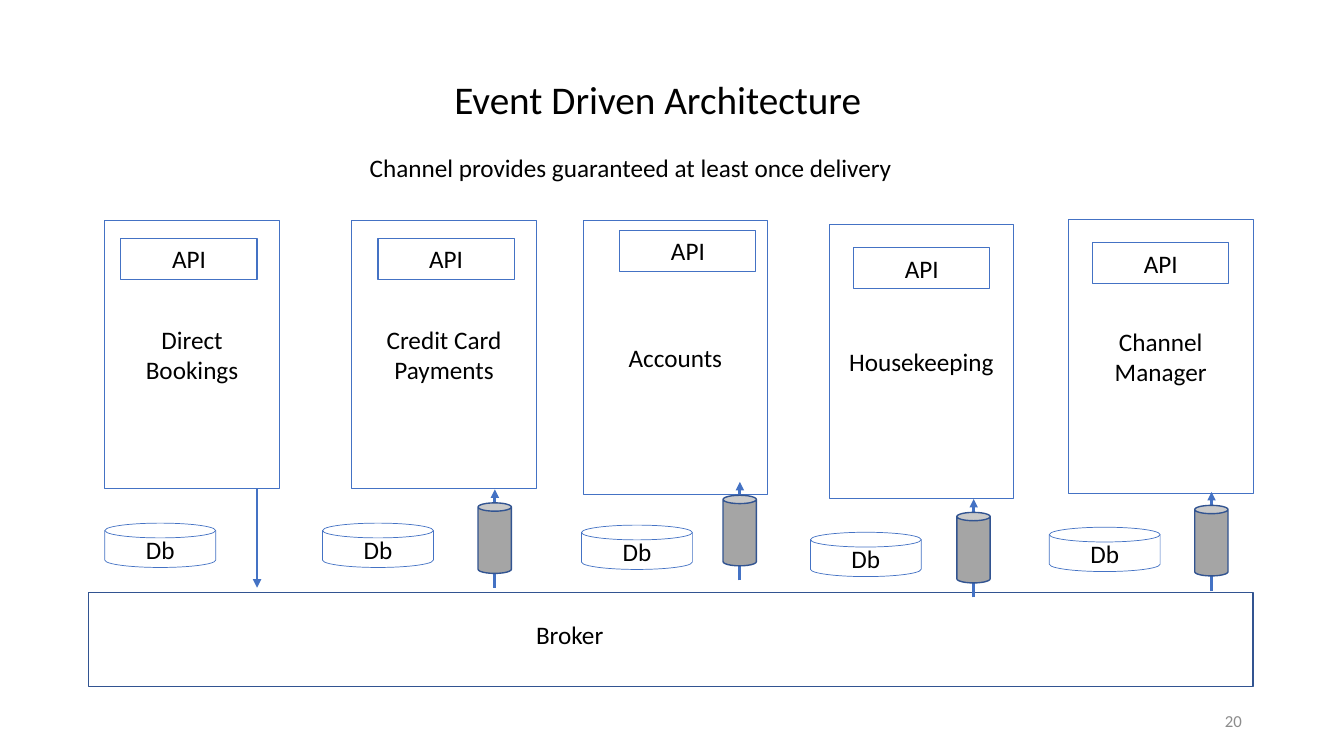
from dataclasses import dataclass

from lxml import etree
from pptx import Presentation
from pptx.dml.color import RGBColor
from pptx.enum.shapes import MSO_CONNECTOR, MSO_SHAPE
from pptx.enum.text import MSO_ANCHOR, MSO_AUTO_SIZE, PP_ALIGN
from pptx.oxml.ns import qn
from pptx.util import Pt

RECT = MSO_SHAPE.RECTANGLE
DISK = MSO_SHAPE.FLOWCHART_MAGNETIC_DISK
CAN = MSO_SHAPE.CAN
STRAIGHT = MSO_CONNECTOR.STRAIGHT
TOP, MIDDLE = MSO_ANCHOR.TOP, MSO_ANCHOR.MIDDLE
LEFT, CENTER, RIGHT = PP_ALIGN.LEFT, PP_ALIGN.CENTER, PP_ALIGN.RIGHT
NO_FIT = MSO_AUTO_SIZE.NONE


@dataclass(frozen=True)
class Theme:
    font: str = "Calibri"
    ink: str = "000000"
    blue: str = "4472C4"
    navy: str = "325491"
    gray: str = "A5A5A5"
    pale: str = "8C8C8C"
    title: float = 28
    body: float = 18
    small: float = 12


class Board:
    def __init__(self, slide, theme):
        self.slide, self.theme = slide, theme

    def letter(self, frame, text, size=None, color=None, align=CENTER,
               anchor=MIDDLE, wrap=True):
        frame.word_wrap = wrap
        frame.auto_size = NO_FIT
        frame.vertical_anchor = anchor
        frame.text = text
        for para in frame.paragraphs:
            para.alignment = align
            para.font.name = self.theme.font
            para.font.size = Pt(size or self.theme.body)
            para.font.color.rgb = RGBColor.from_string(color or self.theme.ink)

    def title(self, text, box):
        head = self.slide.shapes.title
        head.left, head.top, head.width, head.height = map(Pt, box)
        self.letter(head.text_frame, text, self.theme.title, anchor=TOP)

    def label(self, text, box, **style):
        area = self.slide.shapes.add_textbox(*map(Pt, box))
        self.letter(area.text_frame, text, **style)

    def shape(self, kind, box, line, width, fill=None, text="", anchor=MIDDLE):
        item = self.slide.shapes.add_shape(kind, *map(Pt, box))
        item.shadow.inherit = False
        item.line.color.rgb = RGBColor.from_string(line)
        item.line.width = Pt(width)
        if fill:
            item.fill.solid()
            item.fill.fore_color.rgb = RGBColor.from_string(fill)
        else:
            item.fill.background()
        if text:
            self.letter(item.text_frame, text, anchor=anchor)

    def arrow(self, x, start, end):
        link = self.slide.shapes.add_connector(
            STRAIGHT, Pt(x), Pt(start), Pt(x), Pt(end))
        link.line.color.rgb = RGBColor.from_string(self.theme.blue)
        link.line.width = Pt(2)
        props = link.element.spPr
        etree.SubElement(props.find(qn("a:ln")), qn("a:tailEnd"), type="triangle")
        etree.SubElement(props, qn("a:effectLst"))

    def service(self, name, box, api, store):
        blue = self.theme.blue
        self.shape(RECT, box, blue, 0.5, text=name)
        self.shape(RECT, (*api, 97.2, 28.8), blue, 0.75, text="API", anchor=TOP)
        self.shape(DISK, (*store, 79.2, 31.7), blue, 0.5, text="Db")

    def channel(self, x, tip):
        self.arrow(x, tip + 70.4, tip)
        self.shape(CAN, (x - 12, tip + 9.6, 23.8, 50.4),
                   self.theme.navy, 1, self.theme.gray)


# Name, box, API corner, Db corner
SERVICES = [
    ("Direct\nBookings", (74.9, 157.7, 124.6, 191.5), (86.4, 170.6), (74.9, 373.7)),
    ("Credit Card\nPayments", (251.3, 157.7, 131.8, 191.5), (270, 170.6), (230.4, 373.7)),
    ("Accounts", (416.9, 157.7, 131, 195.1), (442.8, 164.9), (415.4, 375.1)),
    ("Housekeeping", (592.6, 160.6, 131, 195.1), (609.8, 177.1), (578.9, 380.2)),
    ("Channel Manager", (763.2, 157, 131.8, 195.1), (780.5, 173.5), (749.5, 376.6)),
]
# Arrow x, arrow tip
CHANNELS = [(353.5, 349.6), (528.5, 344.2), (695.5, 356.4), (865.4, 351.4)]


def main():
    deck = Presentation()
    deck.slide_width, deck.slide_height = Pt(960), Pt(540)
    theme = Theme()
    board = Board(deck.slides.add_slide(deck.slide_layouts[5]), theme)

    # Headings
    board.title("Event Driven Architecture", (208.8, 50.4, 522, 41))
    board.label("Channel provides guaranteed at least once delivery",
                (257, 105.1, 396.7, 28.8), align=LEFT, anchor=TOP)

    # Broker
    board.shape(RECT, (63.4, 423.4, 831.6, 67), theme.navy, 1)
    board.label("Broker", (375.8, 438.5, 63.4, 28.8),
                align=LEFT, anchor=TOP, wrap=False)

    # Services with their API and store
    for service in SERVICES:
        board.service(*service)

    # Publishing arrow and delivery channels
    board.arrow(183.6, 349.2, 419.8)
    for channel in CHANNELS:
        board.channel(*channel)

    # Page number
    board.label("20", (678.2, 500.4, 216, 28.8), size=theme.small,
                color=theme.pale, align=RIGHT)

    deck.save("out.pptx")


if __name__ == "__main__":
    main()
